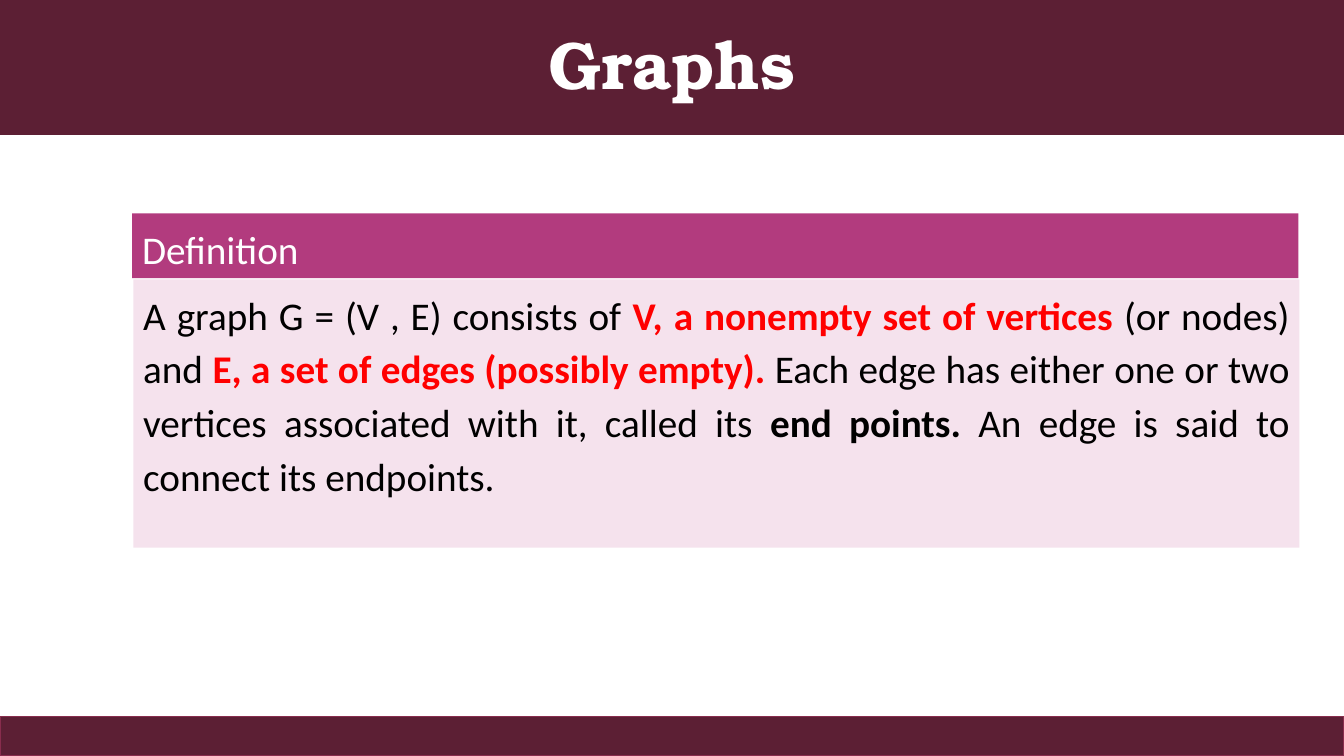
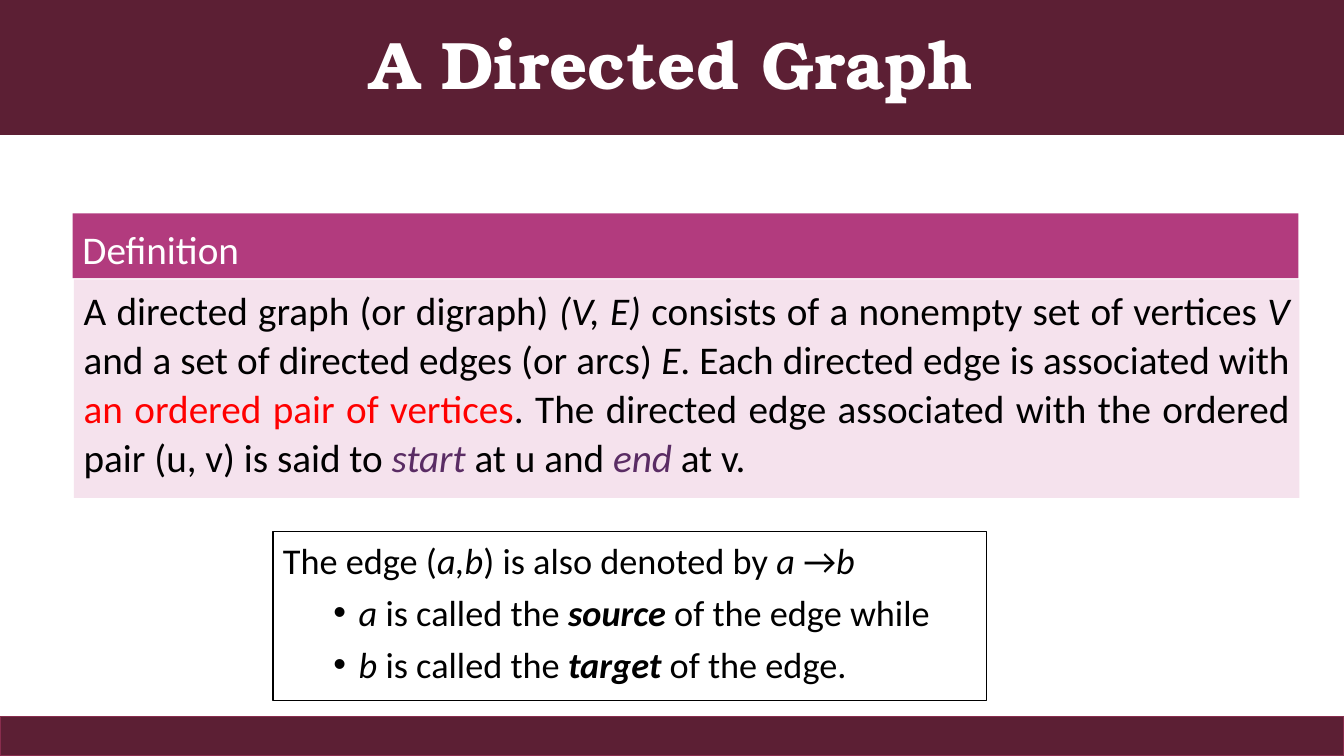
"""Build two slides that define graphs and directed graphs."""
from lxml import etree
from pptx import Presentation
from pptx.dml.color import RGBColor
from pptx.enum.shapes import MSO_SHAPE
from pptx.enum.text import MSO_ANCHOR, MSO_AUTO_SIZE, PP_ALIGN
from pptx.oxml.ns import qn
from pptx.util import Cm, Pt

RECT = MSO_SHAPE.RECTANGLE
TOP, MIDDLE = MSO_ANCHOR.TOP, MSO_ANCHOR.MIDDLE
LEFT, CENTER, JUSTIFY = PP_ALIGN.LEFT, PP_ALIGN.CENTER, PP_ALIGN.JUSTIFY
NO_FIT = MSO_AUTO_SIZE.NONE

WINE = RGBColor(0x5C, 0x1F, 0x34)
WINE_EDGE = RGBColor(0x88, 0x2D, 0x4D)
MAGENTA = RGBColor(0xB2, 0x3B, 0x7E)
BLUSH = RGBColor(0xF5, 0xE2, 0xED)
WHITE = RGBColor(0xFF, 0xFF, 0xFF)
BLACK = RGBColor(0x00, 0x00, 0x00)
RED = RGBColor(0xFF, 0x00, 0x00)
PURPLE = RGBColor(0x5A, 0x2C, 0x64)

TITLE_FONT, BODY_FONT = "TeX Gyre Bonum", "Calibri"
SLIDE_W, SLIDE_H = Cm(33.87), Cm(19.05)
TITLE_H, FOOTER_H = Cm(3.4), Cm(0.99)
BOX_RIGHT, HEADING_TOP, HEADING_H = Cm(32.72), Cm(5.38), Cm(1.63)
BODY_TOP, BODY_SHIFT = Cm(7.04), Cm(0.03)
BULLET_INDENT, BULLET_HANG = Cm(1.91), Cm(0.64)

# Style letters: b bold, i italic, r red, p purple.
SLIDES = [
    {
        "title": "Graphs",
        "left": Cm(3.33), "body_height": Cm(6.76), "spacing": 1.14,
        "definition": [
            ("A graph G = (V , E) consists of ", ""),
            ("V, a nonempty set of vertices ", "br"),
            ("(or nodes) and ", ""),
            ("E, a set of edges (possibly empty). ", "br"),
            ("Each edge has either one or two vertices associated with it, "
             "called its ", ""),
            ("end points. ", "b"),
            ("An edge is said to connect its endpoints.", ""),
        ],
        "note": [],
    },
    {
        "title": "A Directed Graph",
        "left": Cm(1.83), "body_height": Cm(5.51), "spacing": 1.04,
        "definition": [
            ("A directed graph (or digraph) ", ""),
            ("(V, E) ", "i"),
            ("consists of a nonempty set of vertices ", ""),
            ("V", "i"),
            (" and a set of directed edges (or arcs) ", ""),
            ("E", "i"),
            (". Each directed edge is associated with ", ""),
            ("an ordered pair of vertices", "r"),
            (". The directed edge associated with the ordered pair (u, v) "
             "is said to ", ""),
            ("start", "ip"),
            (" at u and ", ""),
            ("end", "ip"),
            (" at v.", ""),
        ],
        "note": [
            [("The edge (", ""), ("a,b", "i"), (") is also denoted by ", ""),
             ("a ", "i"), ("→", ""), ("b", "i")],
            [("a ", "i"), ("is called the ", ""), ("source ", "bi"),
             ("of the edge while", "")],
            [("b ", "i"), ("is called the ", ""), ("target ", "bi"),
             ("of the edge.", "")],
        ],
    },
]


def add_box(shapes, left, top, width, height, fill, line=None):
    """Add a flat rectangle with top-left text."""
    box = shapes.add_shape(RECT, left, top, width, height)
    box.shadow.inherit = False
    box.fill.solid()
    box.fill.fore_color.rgb = fill
    if line is None:
        box.line.fill.background()
    else:
        box.line.color.rgb = line
        box.line.width = Pt(1)
    box.text_frame.word_wrap = True
    box.text_frame.vertical_anchor = TOP
    return box


def write(p, runs, size, spacing, align=LEFT, color=BLACK, font=BODY_FONT):
    """Write styled runs into a paragraph."""
    p.alignment = align
    p.line_spacing = spacing
    for text, style in runs:
        r = p.add_run()
        r.text = text
        r.font.name = font
        r.font.size = Pt(size)
        r.font.bold = "b" in style
        r.font.italic = "i" in style
        r.font.color.rgb = (RED if "r" in style else
                            PURPLE if "p" in style else color)


def add_bullet(p):
    """Turn a paragraph into an indented bullet."""
    p.level = 1
    p.space_before = Pt(5)
    pPr = p._p.get_or_add_pPr()
    pPr.set("marL", str(BULLET_INDENT))
    pPr.set("indent", str(-BULLET_HANG))
    etree.SubElement(pPr, qn("a:buFont")).set("typeface", "Arial")
    etree.SubElement(pPr, qn("a:buChar")).set("char", "•")


def add_frame(s, title):
    """Format the title band and add the footer band."""
    band = s.shapes.title
    band.left, band.top, band.width, band.height = 0, 0, SLIDE_W, TITLE_H
    band.fill.solid()
    band.fill.fore_color.rgb = WINE
    tf = band.text_frame
    tf.word_wrap = True
    tf.auto_size = NO_FIT
    tf.vertical_anchor = MIDDLE
    write(tf.paragraphs[0], [(title, "b")], 48, 0.9, CENTER, WHITE, TITLE_FONT)
    add_box(s.shapes, 0, SLIDE_H - FOOTER_H, SLIDE_W, FOOTER_H, WINE, WINE_EDGE)


def add_definition(s, left, height, runs, spacing):
    """Add the grouped heading bar and definition text."""
    shapes = s.shapes.add_group_shape().shapes
    width = BOX_RIGHT - left
    heading = add_box(shapes, left, HEADING_TOP, width, HEADING_H, MAGENTA)
    write(heading.text_frame.paragraphs[0], [("Definition", "")], 28, 1.14,
          color=WHITE)
    body = add_box(shapes, left + BODY_SHIFT, BODY_TOP, width, height, BLUSH)
    write(body.text_frame.paragraphs[0], runs, 28, spacing, JUSTIFY)


def add_note(s, lines):
    """Add the outlined note: a lead line followed by bullets."""
    note = add_box(s.shapes, Cm(6.88), Cm(13.39), Cm(17.98), Cm(4.27),
                   WHITE, BLACK)
    tf = note.text_frame
    write(tf.paragraphs[0], lines[0], 25.9, 1.04)
    for runs in lines[1:]:
        p = tf.add_paragraph()
        add_bullet(p)
        write(p, runs, 25.9, 1.04)


def main():
    """Build and save the presentation."""
    prs = Presentation()
    prs.slide_width, prs.slide_height = SLIDE_W, SLIDE_H
    for content in SLIDES:
        s = prs.slides.add_slide(prs.slide_layouts[5])
        add_frame(s, content["title"])
        add_definition(s, content["left"], content["body_height"],
                       content["definition"], content["spacing"])
        if content["note"]:
            add_note(s, content["note"])
    prs.save("out.pptx")


if __name__ == "__main__":
    main()
